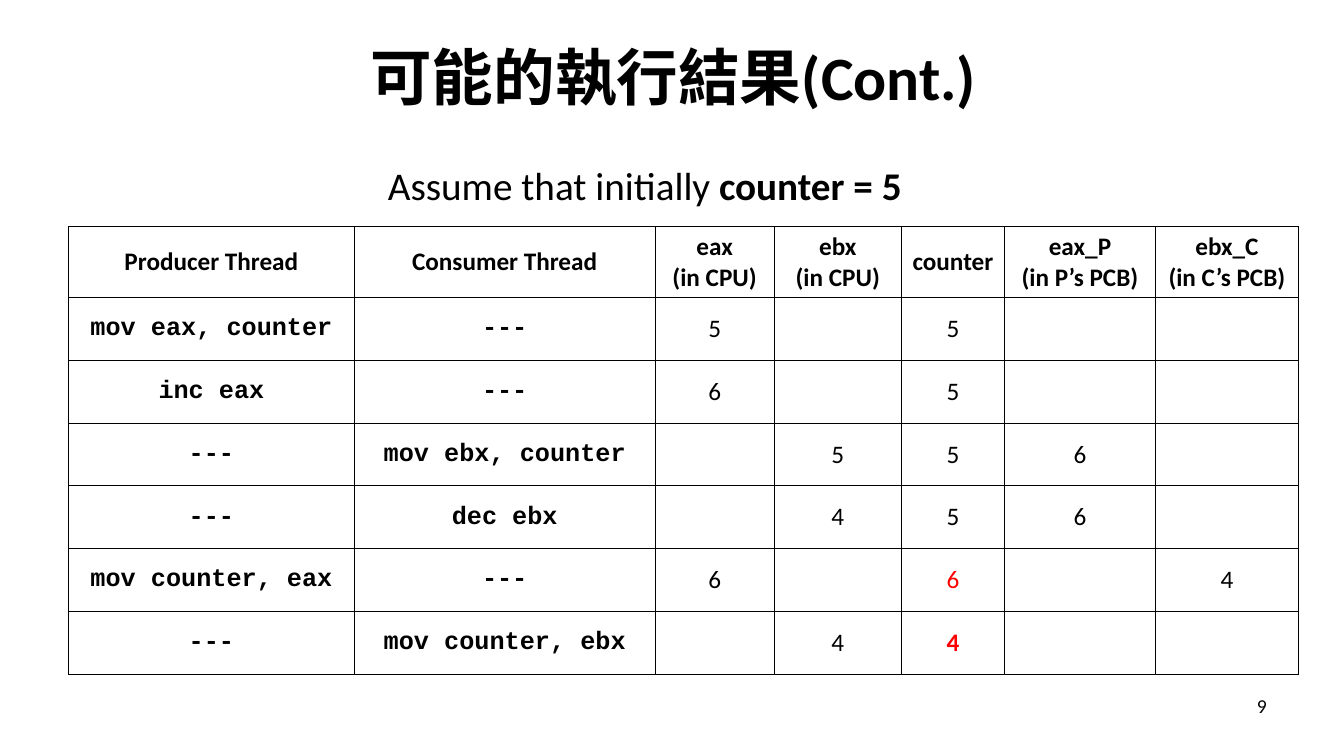
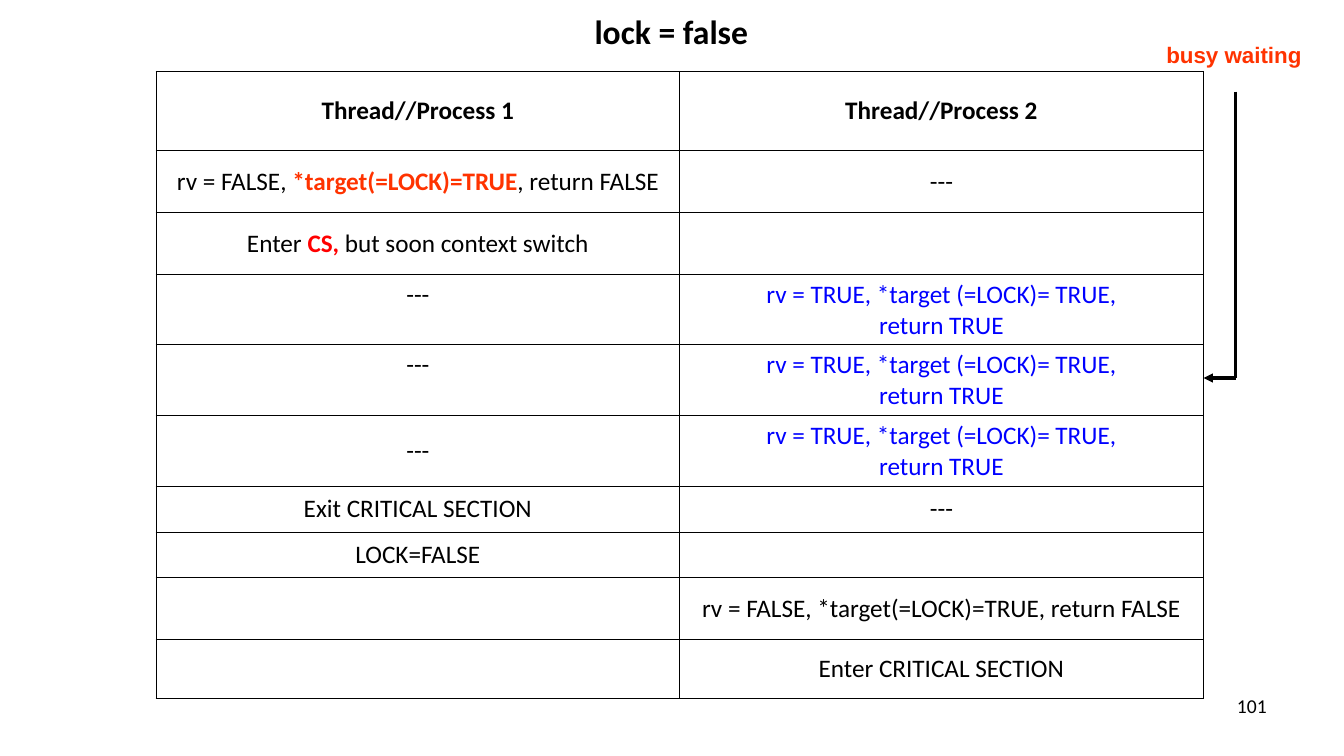
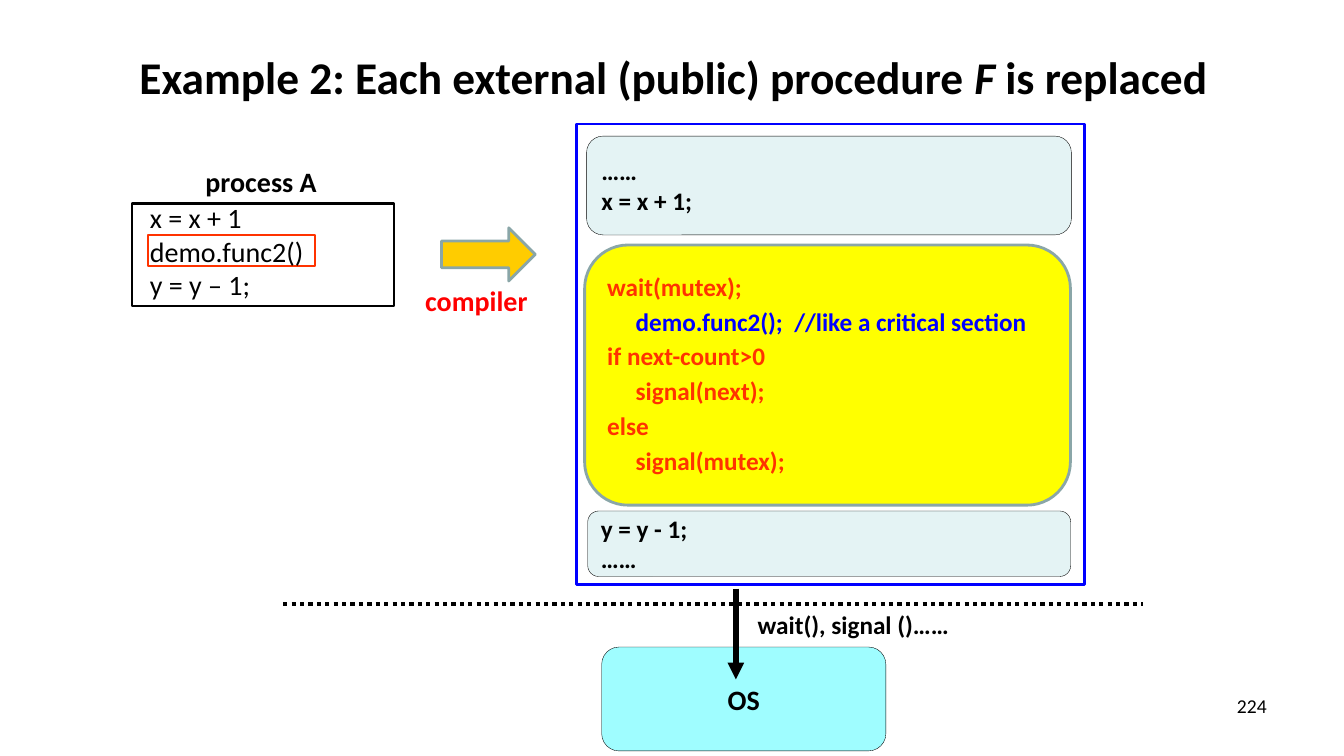
"""Build three slides on race conditions, test-and-set locks and monitors."""
from dataclasses import dataclass, replace

from lxml import etree
from pptx import Presentation
from pptx import slide as slides
from pptx import table as tables
from pptx import util as u
from pptx.dml import color, line as lines
from pptx.enum import dml, shapes, text
from pptx.oxml import ns
from pptx.text import text as texts

BLACK, RED, ORANGE, BLUE = "000000", "FF0000", "FF3300", "0000FF"
PALE, GREY, YELLOW, GOLD, CYAN = "E4F3F4", "8AA6A8", "FFFF00", "FFCC00", "9FFDFF"
LEFT, CENTER, RIGHT = text.PP_ALIGN.LEFT, text.PP_ALIGN.CENTER, text.PP_ALIGN.RIGHT
TOP, MIDDLE = text.MSO_ANCHOR.TOP, text.MSO_ANCHOR.MIDDLE


@dataclass(frozen=True)
class Style:
    size: float = 18
    colour: str = BLACK
    bold: bool = False
    italic: bool = False
    font: str = "Calibri"


@dataclass(frozen=True)
class Span:
    text: str
    style: Style


@dataclass(frozen=True)
class Box:
    left: float
    top: float
    width: float
    height: float

    def lengths(self) -> list[u.Length]:
        return [u.Pt(value) for value in (self.left, self.top, self.width, self.height)]


@dataclass(frozen=True)
class Panel:
    kind: shapes.MSO_SHAPE
    box: Box
    border: str
    weight: float
    fill: str | None = None
    paragraphs: tuple[tuple[Span, ...], ...] = ()
    align: text.PP_ALIGN = LEFT
    spacing: float | None = None
    before: float = 0


@dataclass(frozen=True)
class Cell:
    paragraphs: tuple[tuple[Span, ...], ...] = ()
    anchor: text.MSO_ANCHOR = MIDDLE


BODY = Style()
BOLD = Style(bold=True)
CODE = Style(bold=True, font="Courier New")
LABEL = Style(20, bold=True)
TITLE = Style(44, bold=True)
NUMBER = Style(14)
RECT, ROUNDED = shapes.MSO_SHAPE.RECTANGLE, shapes.MSO_SHAPE.ROUNDED_RECTANGLE


def paint(value: str) -> color.RGBColor:
    return color.RGBColor.from_string(value)


def plain(content: str, style: Style) -> tuple[tuple[Span, ...], ...]:
    return tuple((Span(row, style),) for row in content.split("\n"))


def write_paragraph(paragraph: texts._Paragraph, spans: tuple[Span, ...]) -> None:
    paragraph.text = spans[0].text
    for span in spans[1:]:
        paragraph.add_run().text = span.text
    for run, span in zip(paragraph.runs, spans):
        run.font.size = u.Pt(span.style.size)
        run.font.name = span.style.font
        run.font.bold = span.style.bold
        run.font.italic = span.style.italic
        run.font.color.rgb = paint(span.style.colour)


def write(frame: texts.TextFrame, paragraphs: tuple[tuple[Span, ...], ...],
          align: text.PP_ALIGN = LEFT, spacing: float | None = None,
          before: float = 0) -> None:
    for index, spans in enumerate(paragraphs):
        paragraph = frame.add_paragraph() if index else frame.paragraphs[0]
        write_paragraph(paragraph, spans)
        paragraph.alignment = align
        if spacing:
            paragraph.line_spacing = spacing
        if index and before:
            paragraph.space_before = u.Pt(before)


def add_text(slide: slides.Slide, box: Box, paragraphs: tuple[tuple[Span, ...], ...],
             align: text.PP_ALIGN = LEFT, anchor: text.MSO_ANCHOR = TOP,
             wrap: bool = True) -> None:
    frame = slide.shapes.add_textbox(*box.lengths()).text_frame
    frame.word_wrap = wrap
    if not wrap:
        frame.auto_size = text.MSO_AUTO_SIZE.SHAPE_TO_FIT_TEXT
    frame.vertical_anchor = anchor
    write(frame, paragraphs, align)


def add_title(slide: slides.Slide, *spans: Span) -> None:
    add_text(slide, Box(49, 9.4, 864, 90), (spans,), CENTER, MIDDLE)


def add_number(slide: slides.Slide, number: int) -> None:
    add_text(slide, Box(688, 492, 224, 37), plain(str(number), NUMBER), RIGHT)


def set_line(line: lines.LineFormat, colour: str, weight: float) -> None:
    line.color.rgb = paint(colour)
    line.width = u.Pt(weight)


def add_panel(slide: slides.Slide, panel: Panel) -> None:
    shape = slide.shapes.add_shape(panel.kind, *panel.box.lengths())
    shape.shadow.inherit = False
    set_line(shape.line, panel.border, panel.weight)
    if panel.fill:
        shape.fill.solid()
        shape.fill.fore_color.rgb = paint(panel.fill)
    else:
        shape.fill.background()
    if panel.paragraphs:
        shape.text_frame.word_wrap = True
        shape.text_frame.vertical_anchor = MIDDLE
        write(shape.text_frame, panel.paragraphs, panel.align, panel.spacing, panel.before)


def add_line(slide: slides.Slide, start: tuple[float, float], end: tuple[float, float],
             weight: float, arrow: bool = False, dotted: bool = False) -> None:
    connector = slide.shapes.add_connector(
        shapes.MSO_CONNECTOR.STRAIGHT, *(u.Pt(value) for value in start + end))
    set_line(connector.line, BLACK, weight)
    if dotted:
        connector.line.dash_style = dml.MSO_LINE.ROUND_DOT
    properties = connector._element.spPr
    if arrow:
        etree.SubElement(properties.find(ns.qn("a:ln")), ns.qn("a:tailEnd"), type="triangle")
    etree.SubElement(properties, ns.qn("a:effectLst"))


def add_borders(cell: tables._Cell) -> None:
    properties = cell._tc.get_or_add_tcPr()
    for side in "LRTB":
        border = etree.SubElement(properties, ns.qn(f"a:ln{side}"), w=str(u.Pt(0.75)))
        fill = etree.SubElement(border, ns.qn("a:solidFill"))
        etree.SubElement(fill, ns.qn("a:srgbClr"), val=BLACK)


def add_grid(slide: slides.Slide, left: float, top: float, widths: list[float],
             heights: list[float], rows: list[list[Cell]], inset: float = 7.2) -> None:
    box = Box(left, top, sum(widths), sum(heights))
    table = slide.shapes.add_table(len(rows), len(widths), *box.lengths()).table
    table.first_row = table.horz_banding = False
    for column, width in zip(table.columns, widths):
        column.width = u.Pt(width)
    for row, height, entries in zip(table.rows, heights, rows):
        row.height = u.Pt(height)
        for cell, entry in zip(row.cells, entries):
            add_borders(cell)
            cell.fill.background()
            cell.vertical_anchor = entry.anchor
            cell.margin_left = cell.margin_right = u.Pt(inset)
            write(cell.text_frame, entry.paragraphs, CENTER)


def text_cell(content: str, style: Style = BODY, anchor: text.MSO_ANCHOR = MIDDLE) -> Cell:
    return Cell(plain(content, style) if content else (), anchor)


def build_trace(slide: slides.Slide) -> None:
    add_title(slide, Span("可能的執行結果(Cont.)", TITLE))
    header = ["Producer Thread", "Consumer Thread", "eax\n(in CPU)", "ebx\n(in CPU)",
              "counter", "eax_P\n(in P’s PCB)", "ebx_C\n(in C’s PCB)"]
    steps = [
        ("mov eax, counter", "---", "5", "", "5", "", ""),
        ("inc eax", "---", "6", "", "5", "", ""),
        ("---", "mov ebx, counter", "", "5", "5", "6", ""),
        ("---", "dec ebx", "", "4", "5", "6", ""),
        ("mov counter, eax", "---", "6", "", "6", "", "4"),
        ("---", "mov counter, ebx", "", "4", "4", "", ""),
    ]
    rows = [[text_cell(name, BOLD) for name in header]]
    rows += [[text_cell(value, CODE if column < 2 else BODY)
              for column, value in enumerate(step)] for step in steps]
    rows[5][4] = text_cell("6", replace(BODY, colour=RED))
    rows[6][4] = text_cell("4", replace(BOLD, colour=RED))
    add_grid(slide, 49, 162, [204, 215, 85, 91, 73.5, 108, 102], [44.9] * 7, rows)
    intro = Style(28)
    add_text(slide, Box(270, 111.6, 386, 41),
             ((Span("Assume that initially ", intro),
               Span("counter = 5", replace(intro, bold=True))),), wrap=False)
    add_number(slide, 9)


def build_lock(slide: slides.Slide) -> None:
    acquire = Cell(((Span("rv = FALSE, ", BODY),
                     Span("*target(=LOCK)=TRUE", replace(BOLD, colour=ORANGE)),
                     Span(", return FALSE", BODY)),))
    enter = Cell(((Span("Enter ", BODY), Span("CS,", replace(BOLD, colour=RED)),
                   Span(" but soon context switch", BODY)),))
    spin = text_cell("rv = TRUE, *target (=LOCK)= TRUE,\nreturn TRUE",
                     replace(BODY, colour=BLUE))
    idle, idle_top, empty = text_cell("---"), text_cell("---", anchor=TOP), Cell()
    rows = [
        [text_cell(f"Thread//Process {number}", BOLD) for number in (1, 2)],
        [acquire, idle],
        [enter, empty],
        [idle_top, spin],
        [idle_top, spin],
        [idle, spin],
        [text_cell("Exit CRITICAL SECTION"), idle],
        [text_cell("LOCK=FALSE"), empty],
        [empty, text_cell("rv = FALSE, *target(=LOCK)=TRUE, return FALSE")],
        [empty, text_cell("Enter CRITICAL SECTION")],
    ]
    heights = [56.6, *[44.2] * 5, 33, 32.4, 44.2, 42]
    add_grid(slide, 111.5, 51, [374] * 2, heights, rows, 9.6)
    add_text(slide, Box(417.6, 4.3, 130, 36), plain("lock = false", Style(24, bold=True)))
    add_text(slide, Box(826, 26, 112, 26.6),
             plain("busy waiting", Style(16, ORANGE, True, font="Arial")), wrap=False)
    corner = (882.7, 270)
    add_line(slide, (882.7, 65.5), corner, 2.25)
    add_line(slide, corner, (859.7, 270), 2.25, arrow=True)
    add_number(slide, 101)


def build_monitor(slide: slides.Slide) -> None:
    add_text(slide, Box(139.7, 113.8, 97, 31), plain("process A", LABEL), wrap=False)
    add_panel(slide, Panel(RECT, Box(105.8, 167.8, 119, 22.3), ORANGE, 1.5))
    add_panel(slide, Panel(RECT, Box(94.3, 145.4, 187, 73.4), BLACK, 1.5))
    add_text(slide, Box(100, 139.7, 136, 80),
             plain("x = x + 1\ndemo.func2()\ny = y – 1;", Style(20)))
    add_panel(slide, Panel(shapes.MSO_SHAPE.RIGHT_ARROW, Box(315.4, 162.7, 67, 38),
                           GREY, 2, GOLD))
    add_text(slide, Box(296.6, 198.7, 106, 32), plain("compiler", replace(LABEL, colour=RED)))
    add_panel(slide, Panel(ROUNDED, Box(419, 97.2, 346.3, 70.6), BLACK, 0.25, PALE,
                           plain("……\nx = x + 1;", BOLD)))
    add_text(slide, Box(534.2, 432, 153, 29), plain("wait(), signal ()……", BOLD), wrap=False)
    guard = replace(BOLD, colour=ORANGE)
    call = Span("     demo.func2();  //like a critical section", replace(BOLD, colour=BLUE))
    wrapped = (
        *plain("wait(mutex);", guard),
        (call,),
        *plain("if next-count>0\n     signal(next);\nelse\n     signal(mutex);", guard),
    )
    add_panel(slide, Panel(ROUNDED, Box(417.6, 175, 347, 185.8), GREY, 2, YELLOW,
                           wrapped, spacing=0.9, before=5.4))
    add_panel(slide, Panel(RECT, Box(411.8, 88.6, 363, 329), BLUE, 2))
    add_panel(slide, Panel(ROUNDED, Box(419.8, 365, 345, 46.8), BLACK, 0.25, PALE,
                           plain("y = y - 1;\n……", BOLD)))
    add_line(slide, (202.3, 431.3), (816.5, 431.3), 3, dotted=True)
    add_panel(slide, Panel(ROUNDED, Box(429.8, 462.2, 203, 74.2), BLACK, 0.25, CYAN,
                           plain("OS", LABEL), CENTER))
    add_line(slide, (525.6, 420.5), (525.6, 485.3), 4, arrow=True)
    heading = replace(TITLE, size=32.4)
    add_title(slide, Span("Example 2: Each external (public) procedure ", heading),
              Span("F", replace(heading, italic=True)), Span(" is replaced", heading))
    add_number(slide, 224)


def main() -> None:
    presentation = Presentation()
    presentation.slide_width, presentation.slide_height = u.Pt(960), u.Pt(540)
    for build in (build_trace, build_lock, build_monitor):
        build(presentation.slides.add_slide(presentation.slide_layouts[6]))
    presentation.save("out.pptx")


if __name__ == "__main__":
    main()
